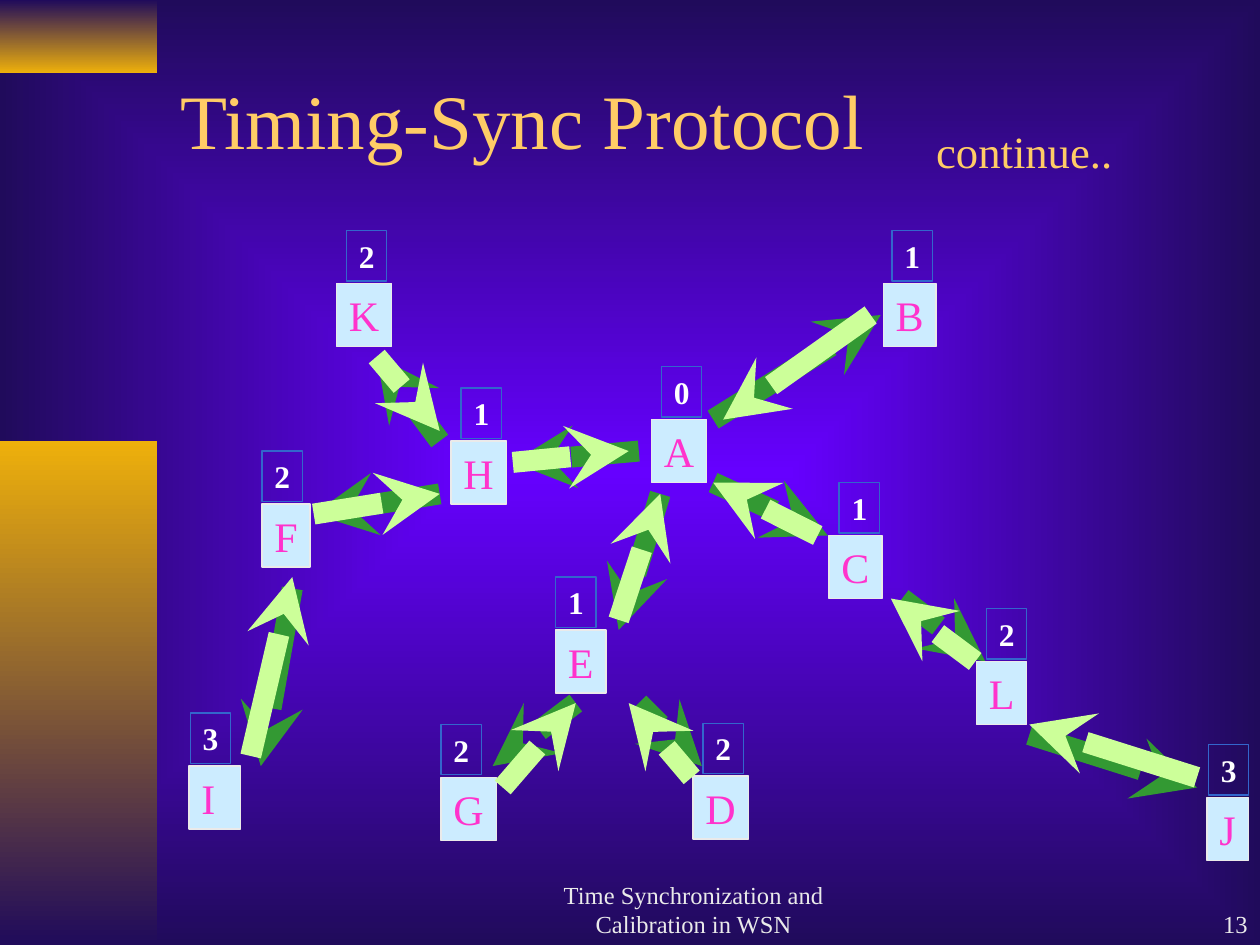
from dataclasses import dataclass

from lxml import etree
from pptx import Presentation
from pptx.dml.color import RGBColor
from pptx.enum.shapes import MSO_CONNECTOR, MSO_SHAPE
from pptx.enum.text import MSO_ANCHOR, MSO_AUTO_SIZE, PP_ALIGN
from pptx.oxml.ns import qn
from pptx.util import Inches, Pt

LINE, RECT = MSO_CONNECTOR.STRAIGHT, MSO_SHAPE.RECTANGLE
TOP, MIDDLE, BOTTOM = MSO_ANCHOR.TOP, MSO_ANCHOR.MIDDLE, MSO_ANCHOR.BOTTOM
LEFT, CENTER, RIGHT = PP_ALIGN.LEFT, PP_ALIGN.CENTER, PP_ALIGN.RIGHT
FIXED = MSO_AUTO_SIZE.NONE


@dataclass(frozen=True)
class Theme:
    """Colours, font and sizes of the slide."""
    font: str = "Times New Roman"
    glow: str = "6600FF"
    dark: str = "200B5B"
    gold: str = "EEB00B"
    title: str = "FFCC66"
    node: str = "CCECFF"
    name: str = "FF33CC"
    edge: str = "3366CC"
    down: str = "339933"
    back: str = "CCFF99"
    white: str = "FFFFFF"
    pale: str = "EAEAEA"
    head: int = 44
    large: int = 24
    mid: int = 18
    small: int = 14
    thin: float = 0.75
    thick: float = 12


THEME = Theme()

# name: left, top, width, level, shift of the level box
NODES = {
    "A": (4.17, 2.33, 0.44, 0, 0.08),
    "B": (6.01, 1.25, 0.42, 1, 0.07),
    "H": (2.58, 2.5, 0.44, 1, 0.08),
    "E": (3.41, 4, 0.4, 1, 0),
    "C": (5.58, 3.25, 0.42, 1, 0.08),
    "F": (1.08, 3, 0.38, 2, 0),
    "K": (1.67, 1.25, 0.44, 2, 0.08),
    "D": (4.5, 5.16, 0.44, 2, 0.08),
    "G": (2.5, 5.17, 0.44, 2, 0),
    "L": (6.75, 4.25, 0.4, 2, 0.08),
    "J": (8.58, 5.33, 0.33, 3, 0.01),
    "I": (0.5, 5.08, 0.41, 3, 0.01),
}
# parent and child: arrow down, arrow back
LINKS = {
    "AH": ((4.07, 2.58, 3.07, 2.67), (3.07, 2.67, 3.99, 2.58)),
    "CL": ((6.16, 3.75, 6.82, 4.25), (6.74, 4.25, 6.07, 3.75)),
    "AB": ((4.66, 2.33, 5.99, 1.5), (5.91, 1.5, 4.74, 2.33)),
    "AE": ((4.24, 2.92, 3.91, 4), (3.91, 3.92, 4.24, 2.92)),
    "HK": ((2.49, 2.5, 1.99, 1.83), (1.99, 1.83, 2.49, 2.42)),
    "HF": ((2.49, 2.92, 1.49, 3.08), (1.49, 3.08, 2.49, 2.92)),
    "EG": ((3.57, 4.58, 2.91, 5.08), (2.99, 5.25, 3.57, 4.58)),
    "ED": ((4.07, 4.58, 4.57, 5.08), (4.49, 5.17, 3.99, 4.58)),
    "AC": ((4.66, 2.83, 5.57, 3.25), (5.49, 3.25, 4.66, 2.83)),
    "LJ": ((7.17, 4.83, 8.5, 5.25), (8.5, 5.17, 7.17, 4.75)),
    "FI": ((1.32, 3.67, 1.07, 5.08), (0.99, 5, 1.32, 3.58)),
}


def rgb(code):
    """Turn a hex code into a colour."""
    return RGBColor.from_string(code)


def blend(fill, first, last):
    """Fill with two colours running from top to bottom."""
    fill.gradient()
    fill.gradient_angle = 270
    for stop, code in zip(fill.gradient_stops, (first, last)):
        stop.color.rgb = rgb(code)


def write(shape, *runs, size, color, bold=False, align=LEFT, anchor=TOP):
    """Put runs of text into a shape and return the runs."""
    frame = shape.text_frame
    frame.word_wrap, frame.auto_size = True, FIXED
    frame.vertical_anchor = anchor
    para = frame.paragraphs[0]
    para.alignment = align
    made = []
    for text in runs:
        run = para.add_run()
        run.text = text
        font = run.font
        font.name, font.size, font.bold = THEME.font, Pt(size), bold
        font.color.rgb = rgb(color)
        made.append(run)
    return made


def block(slide, left, top, width, height, fill=None, line=None):
    """Draw a flat box with an optional fill and outline."""
    shape = slide.shapes.add_shape(RECT, *map(Inches, (left, top, width, height)))
    shape.shadow.inherit = False
    if fill:
        shape.fill.solid()
        shape.fill.fore_color.rgb = rgb(fill)
    else:
        shape.fill.background()
    if line:
        shape.line.color.rgb = rgb(line)
        shape.line.width = Pt(THEME.thin)
    else:
        shape.line.fill.background()
    return shape


def arrow(slide, left, top, ends, color):
    """Draw a thick arrow between two points given from left and top."""
    x1, y1, x2, y2 = ends
    spots = (left + x1, top + y1, left + x2, top + y2)
    shape = slide.shapes.add_connector(LINE, *map(Inches, spots))
    shape.line.color.rgb = rgb(color)
    shape.line.width = Pt(THEME.thick)
    etree.SubElement(shape.line._get_or_add_ln(), qn("a:tailEnd"), type="stealth")
    etree.SubElement(shape._element.spPr, qn("a:effectLst"))


def scene(slide):
    """Paint the glow that spreads from the middle of the slide."""
    blend(slide.background.fill, THEME.glow, THEME.dark)
    grad = slide._element.find(".//" + qn("a:gradFill"))
    grad.remove(grad.find(qn("a:lin")))
    shade = etree.Element(qn("a:path"), path="rect")
    grad.find(qn("a:gsLst")).addnext(shade)
    half = dict.fromkeys("ltrb", "50000")
    etree.SubElement(shade, qn("a:fillToRect"), half)


def side(slide, left, top, width, height):
    """Draw the two gold bars down one side."""
    upper, lower = 0.58, 4
    bar = block(slide, left, top, width, upper)
    blend(bar.fill, THEME.dark, THEME.gold)
    bar = block(slide, left, top + height - lower, width, lower)
    blend(bar.fill, THEME.gold, THEME.dark)


def heading(slide, left, top, width, height):
    """Place the title with its lowered second part."""
    title = slide.shapes.title
    title.left, title.top = Inches(left), Inches(top)
    title.width, title.height = Inches(width), Inches(height)
    runs = write(title, "Timing-Sync Protocol \t", "continue..",
                 size=THEME.head, color=THEME.title, anchor=MIDDLE)
    runs[1].font._element.set("baseline", "-25000")


def graph(slide, left, top):
    """Draw the tree of nodes, its arrows and its levels."""
    for down, _ in LINKS.values():
        arrow(slide, left, top, down, THEME.down)
    for name, (x, y, width, _, _) in NODES.items():
        box = block(slide, left + x, top + y, width, 0.5, THEME.node, THEME.pale)
        write(box, name, size=THEME.large, color=THEME.name)
    for _, back in LINKS.values():
        arrow(slide, left, top, back, THEME.back)
    for x, y, _, level, shift in NODES.values():
        box = block(slide, left + x + shift, top + y - 0.42, 0.32, 0.4,
                    line=THEME.edge)
        write(box, str(level), size=THEME.mid, color=THEME.white, bold=True)


def footer(slide, left, top, width, height):
    """Place the talk name and the page number."""
    parts = (("Time Synchronization and Calibration in WSN", 0, 3.17, CENTER),
             ("13", 4, width - 4, RIGHT))
    for text, x, wide, align in parts:
        spot = map(Inches, (left + x, top, wide, height))
        write(slide.shapes.add_textbox(*spot), text, size=THEME.small,
              color=THEME.pale, align=align, anchor=BOTTOM)


def main():
    """Build the slide and save it."""
    deck = Presentation()
    deck.slide_width, deck.slide_height = Inches(10), Inches(7.5)
    slide = deck.slides.add_slide(deck.slide_layouts[5])
    scene(slide)
    side(slide, 0, 0, 1.25, 7.5)
    heading(slide, 1.33, 0.33, 8.5, 1.32)
    graph(slide, 1, 1)
    footer(slide, 3.92, 7, 6.08, 0.5)
    deck.save("out.pptx")


main()
